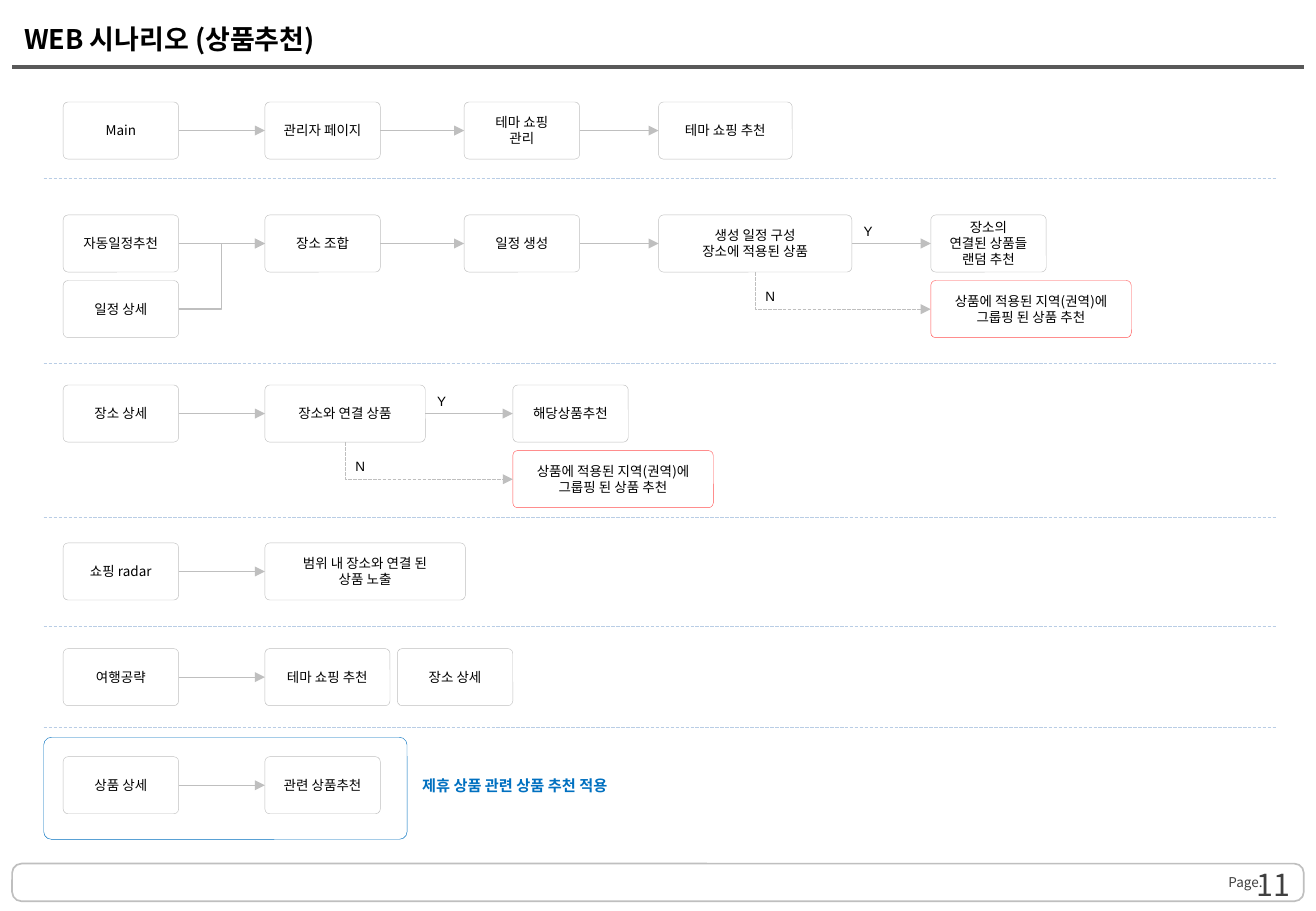
from dataclasses import dataclass
from lxml.etree import SubElement
from pptx import Presentation
from pptx.dml.color import RGBColor
from pptx.enum.dml import MSO_LINE
from pptx.enum.shapes import MSO_CONNECTOR, MSO_SHAPE
from pptx.enum.text import MSO_ANCHOR, MSO_AUTO_SIZE, PP_ALIGN
from pptx.oxml.ns import qn
from pptx.util import Inches, Pt


@dataclass(frozen=True)
class Theme:
    """Colours, fonts and type sizes."""
    ink: str = "000000"
    page: str = "404040"
    rule: str = "595959"
    grey: str = "BFBFBF"
    pale: str = "B9CDE5"
    blue: str = "0070C0"
    red: str = "FF5050"
    white: str = "FFFFFF"
    sans: str = "Noto Sans CJK KR"
    latin: str = "Arial"
    small: float = 8
    note: float = 9
    head: float = 16
    num: float = 18
    lead: float = 9.5


THEME = Theme()
WIDE, HIGH = 10.83, 7.5
COLS = (0.52, 2.18, 3.27, 3.82, 4.22, 5.42, 7.66)
ROWS = (0.84, 1.77, 2.31, 3.17, 3.71, 4.47, 5.34, 6.23)
RULES = (1.47, 2.99, 4.26, 5.16, 5.99)
CELL, TALL, BROAD = 0.95, 0.47, 1.65
REGION = "상품에 적용된 지역(권역)에 그룹핑 된 상품 추천"


def tint(code):
    """Turn a hex code into a colour."""
    return RGBColor.from_string(code)


def style(frame, size, color=THEME.ink, face=THEME.sans, bold=False,
          align=PP_ALIGN.CENTER, lead=None):
    """Format every paragraph of a text frame."""
    for para in frame.paragraphs:
        para.alignment = align
        if lead:
            para.line_spacing = Pt(lead)
        font = para.font
        font.size, font.bold, font.name = Pt(size), bold, face
        font.color.rgb = tint(color)
        props = para._p.pPr.find(qn("a:defRPr"))
        SubElement(props, qn("a:ea"), typeface=THEME.sans)


def label(slide, area, text, size, anchor=MSO_ANCHOR.TOP, inset=0.1, **look):
    """Add a text box."""
    frame = slide.shapes.add_textbox(*map(Inches, area)).text_frame
    frame.text, frame.word_wrap = text, False
    frame.vertical_anchor = anchor
    frame.margin_left = frame.margin_right = Inches(inset)
    style(frame, size, **look)


def panel(slide, area, color, width, bend):
    """Add an outlined round box."""
    shape = slide.shapes.add_shape(MSO_SHAPE.ROUNDED_RECTANGLE, *map(Inches, area))
    shape.adjustments[0] = bend
    shape.shadow.inherit = False
    shape.fill.solid()
    shape.fill.fore_color.rgb = tint(THEME.white)
    shape.line.color.rgb = tint(color)
    shape.line.width = Pt(width)
    return shape


def step(slide, col, row, text, width=CELL, color=THEME.grey):
    """Add a flow step on the grid."""
    shape = panel(slide, (COLS[col], ROWS[row], width, TALL), color, 0.25, 0.085)
    frame = shape.text_frame
    frame.text, frame.word_wrap = text, True
    frame.vertical_anchor = MSO_ANCHOR.MIDDLE
    style(frame, THEME.small, lead=THEME.lead)
    return shape


def line(slide, ends, color, width, dash=False, kind=MSO_CONNECTOR.STRAIGHT):
    """Add a plain connector between two points."""
    link = slide.shapes.add_connector(kind, *ends)
    link.line.color.rgb = tint(color)
    link.line.width = Pt(width)
    if dash:
        link.line.dash_style = MSO_LINE.SQUARE_DOT
    SubElement(link._element.spPr, qn("a:effectLst"))
    return link


def arrow(slide, start, end, kind=MSO_CONNECTOR.STRAIGHT):
    """Link the right side of a step to the left side of another."""
    link = line(slide, (0, 0, 0, 0), THEME.grey, 0.75, kind=kind)
    link.begin_connect(start, 3)
    link.end_connect(end, 1)
    SubElement(link.line._get_or_add_ln(), qn("a:tailEnd"), type="triangle")


def drop(slide, start, end):
    """Link the foot of a step to the left side of a lower one."""
    x, y = start.left + start.width // 2, start.top + start.height
    wide, high = end.left - x, end.top + end.height // 2 - y
    left, top = x + (wide - high) // 2, y + (high - wide) // 2
    link = line(slide, (left, top, left + high, top + wide), THEME.grey, 0.75,
                True, MSO_CONNECTOR.ELBOW)
    props = link._element.spPr
    props.find(qn("a:prstGeom")).set("prst", "bentConnector2")
    turn = props.find(qn("a:xfrm"))
    turn.set("rot", "16200000")
    turn.set("flipH", "1")
    SubElement(link.line._get_or_add_ln(), qn("a:tailEnd"), type="triangle")


def flow(slide, row, *steps):
    """Add a row of steps joined by arrows."""
    shapes = [step(slide, col, row, *rest) for col, *rest in steps]
    for start, end in zip(shapes, shapes[1:]):
        arrow(slide, start, end)
    return shapes


def branch(slide, test, col, row):
    """Add the yes and no marks and the fallback step."""
    right = (test.left + test.width) / Inches(1)
    mid = (test.left + test.width / 2) / Inches(1)
    look = {"face": THEME.latin}
    label(slide, (right, ROWS[row - 1] + 0.02, 0.27, 0.24), "Y", THEME.small, **look)
    label(slide, (mid - 0.02, ROWS[row] + 0.01, 0.29, 0.24), "N", THEME.small, **look)
    drop(slide, test, step(slide, col, row, REGION, BROAD, THEME.red))


def chrome(slide):
    """Add the title, its rule and the footer."""
    title = slide.shapes.title
    title.left, title.top, title.width, title.height = map(
        Inches, (0.1, 0.08, WIDE - 0.2, 0.47))
    frame = title.text_frame
    frame.text, frame.auto_size = "WEB 시나리오 (상품추천)", MSO_AUTO_SIZE.NONE
    frame.vertical_anchor = MSO_ANCHOR.MIDDLE
    style(frame, THEME.head, bold=True, align=PP_ALIGN.LEFT)
    line(slide, map(Inches, (0.1, 0.55, WIDE - 0.1, 0.55)), THEME.rule, 2.25)
    panel(slide, (0.1, 7.11, WIDE - 0.2, 0.31), THEME.grey, 1, 0.25)
    label(slide, (10.11, 7.2, 0.46, 0.13), "Page.", THEME.small, MSO_ANCHOR.MIDDLE,
          0, color=THEME.page, align=PP_ALIGN.LEFT)
    label(slide, (8.19, 7.2, 2.53, 0.16), "11", THEME.num, MSO_ANCHOR.MIDDLE,
          color=THEME.page, align=PP_ALIGN.RIGHT)


def main():
    """Build the slide."""
    deck = Presentation()
    deck.slide_width, deck.slide_height = Inches(WIDE), Inches(HIGH)
    slide = deck.slides.add_slide(deck.slide_layouts[5])
    chrome(slide)
    for y in RULES:
        line(slide, map(Inches, (0.36, y, 10.51, y)), THEME.pale, 0.75, True)

    flow(slide, 0, (0, "Main"), (1, "관리자 페이지"), (3, "테마 쇼핑\n관리"),
         (5, "테마 쇼핑 추천", 1.1))
    plan = flow(slide, 1, (0, "자동일정추천"), (1, "장소 조합"), (3, "일정 생성"),
                (5, "생성 일정 구성\n장소에 적용된 상품", 1.59),
                (6, "장소의\n연결된 상품들 랜덤 추천"))
    detail = step(slide, 0, 2, "일정 상세")
    arrow(slide, detail, plan[1], MSO_CONNECTOR.ELBOW)
    branch(slide, plan[3], 6, 2)
    place = flow(slide, 3, (0, "장소 상세"), (1, "장소와 연결 상품", 1.32),
                 (4, "해당상품추천"))
    branch(slide, place[1], 4, 4)
    flow(slide, 5, (0, "쇼핑 radar"), (1, "범위 내 장소와 연결 된\n상품 노출", BROAD))
    flow(slide, 6, (0, "여행공략"), (1, "테마 쇼핑 추천", 1.03))
    step(slide, 2, 6, "장소 상세")
    panel(slide, (0.36, 6.07, 2.99, 0.84), THEME.blue, 0.25, 0.075)
    flow(slide, 7, (0, "상품 상세"), (1, "관련 상품추천"))
    label(slide, (3.32, 6.34, 1.83, 0.25), "제휴 상품 관련 상품 추천 적용", THEME.note,
          color=THEME.blue, face=THEME.latin, bold=True)
    deck.save("out.pptx")


if __name__ == "__main__":
    main()
